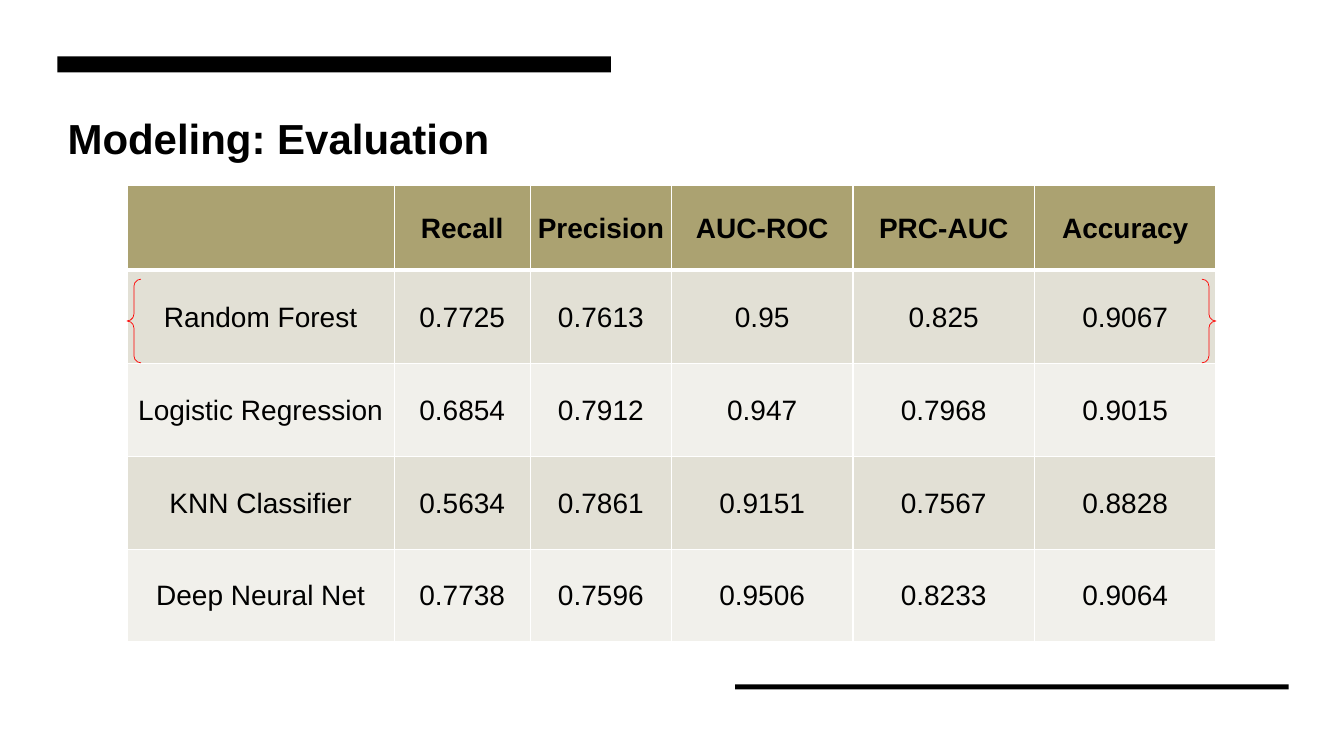
import lxml.etree
import pptx
import pptx.dml.color
import pptx.enum.shapes
import pptx.enum.text
import pptx.oxml.ns
import pptx.util

RGBColor = pptx.dml.color.RGBColor
Inches = pptx.util.Inches
Anchor = pptx.enum.text.MSO_ANCHOR
Align = pptx.enum.text.PP_ALIGN
Shape = pptx.enum.shapes.MSO_SHAPE

TITLE = "Modeling: Evaluation"
SCORES = [
    ("", "Recall", "Precision", "AUC-ROC", "PRC-AUC", "Accuracy"),
    ("Random Forest", "0.7725", "0.7613", "0.95", "0.825", "0.9067"),
    ("Logistic Regression", "0.6854", "0.7912", "0.947", "0.7968", "0.9015"),
    ("KNN Classifier", "0.5634", "0.7861", "0.9151", "0.7567", "0.8828"),
    ("Deep Neural Net", "0.7738", "0.7596", "0.9506", "0.8233", "0.9064"),
]

BLACK = RGBColor(0x00, 0x00, 0x00)
WHITE = RGBColor(0xFF, 0xFF, 0xFF)
RED = RGBColor(0xFF, 0x00, 0x00)
HEADER = RGBColor(0xAB, 0xA2, 0x71)
BANDS = [RGBColor(0xE2, 0xE0, 0xD5), RGBColor(0xF1, 0xF0, 0xEB)]

SLIDE_WIDTH, SLIDE_HEIGHT = 13.33, 7.5
MARGIN = 0.57
BAR_WIDTH = 5.49
TABLE_LEFT, TABLE_TOP = 1.26, 1.84
COLUMN_WIDTHS = [2.65, 1.35, 1.4, 1.8, 1.8, 1.8]
ROW_HEIGHTS = [0.84, 0.93, 0.92, 0.92, 0.92]
BRACE_HEIGHT = 0.83


def write(frame, text, size=20, bold=False, align=Align.LEFT):
    """Put one formatted line of text into a text frame."""
    paragraph = frame.paragraphs[0]
    paragraph.alignment = align
    run = paragraph.add_run()
    run.text = text
    run.font.name = "Arial"
    run.font.size = pptx.util.Pt(size)
    run.font.bold = bold
    run.font.color.rgb = BLACK


def add_bar(slide, left, top, height):
    """Add a plain black bar."""
    bar = slide.shapes.add_shape(Shape.RECTANGLE, Inches(left), Inches(top),
                                 Inches(BAR_WIDTH), Inches(height))
    bar.shadow.inherit = False
    bar.fill.solid()
    bar.fill.fore_color.rgb = BLACK
    bar.line.fill.background()


def add_borders(cell, bottom):
    """Draw white cell borders, with the bottom one in its own width."""
    properties = cell._tc.get_or_add_tcPr()
    widths = {"lnL": 1, "lnR": 1, "lnT": 1, "lnB": bottom}
    for position, (side, width) in enumerate(widths.items()):
        line = lxml.etree.Element(pptx.oxml.ns.qn("a:" + side),
                                  w=str(pptx.util.Pt(width)))
        fill = lxml.etree.SubElement(line, pptx.oxml.ns.qn("a:solidFill"))
        lxml.etree.SubElement(fill, pptx.oxml.ns.qn("a:srgbClr"), val=str(WHITE))
        properties.insert(position, line)


def add_scores(slide):
    """Add the table of model scores."""
    table = slide.shapes.add_table(
        len(SCORES), len(COLUMN_WIDTHS), Inches(TABLE_LEFT), Inches(TABLE_TOP),
        Inches(sum(COLUMN_WIDTHS)), Inches(sum(ROW_HEIGHTS))).table
    for column, width in zip(table.columns, COLUMN_WIDTHS):
        column.width = Inches(width)
    for index, (row, height) in enumerate(zip(table.rows, ROW_HEIGHTS)):
        row.height = Inches(height)
        is_header = index == 0
        for cell, text in zip(row.cells, SCORES[index]):
            cell.vertical_anchor = Anchor.MIDDLE
            cell.margin_left = cell.margin_right = cell.margin_top = Inches(0.01)
            cell.margin_bottom = 0
            cell.fill.solid()
            cell.fill.fore_color.rgb = HEADER if is_header else BANDS[(index - 1) % 2]
            # Both sides of the header rule need the same width.
            add_borders(cell, bottom=3 if is_header else 1)
            if index == 1:
                top_line = cell._tc.tcPr.find(pptx.oxml.ns.qn("a:lnT"))
                top_line.set("w", str(pptx.util.Pt(3)))
            if text:
                write(cell.text_frame, text, bold=is_header, align=Align.CENTER)


def add_best_model_brace(slide):
    """Put red braces around the first model row."""
    brace = slide.shapes.add_shape(
        Shape.DOUBLE_BRACE, Inches(TABLE_LEFT),
        Inches(TABLE_TOP + ROW_HEIGHTS[0] + ROW_HEIGHTS[1] - BRACE_HEIGHT - 0.01),
        Inches(sum(COLUMN_WIDTHS)), Inches(BRACE_HEIGHT))
    brace.shadow.inherit = False
    brace.fill.background()
    brace.line.color.rgb = RED
    brace.line.width = pptx.util.Pt(0.5)


presentation = pptx.Presentation()
presentation.slide_width = Inches(SLIDE_WIDTH)
presentation.slide_height = Inches(SLIDE_HEIGHT)
slide = presentation.slides.add_slide(presentation.slide_layouts[5])

add_bar(slide, MARGIN, 0.56, 0.16)
add_bar(slide, SLIDE_WIDTH - MARGIN - BAR_WIDTH + 0.02, 6.79, 0.05)

title = slide.shapes.title
title.left, title.top = Inches(MARGIN), Inches(0.85)
title.width, title.height = Inches(7.87), Inches(0.82)
title.text_frame.vertical_anchor = Anchor.BOTTOM
write(title.text_frame, TITLE, size=30, bold=True)

add_scores(slide)
add_best_model_brace(slide)

presentation.save("out.pptx")
